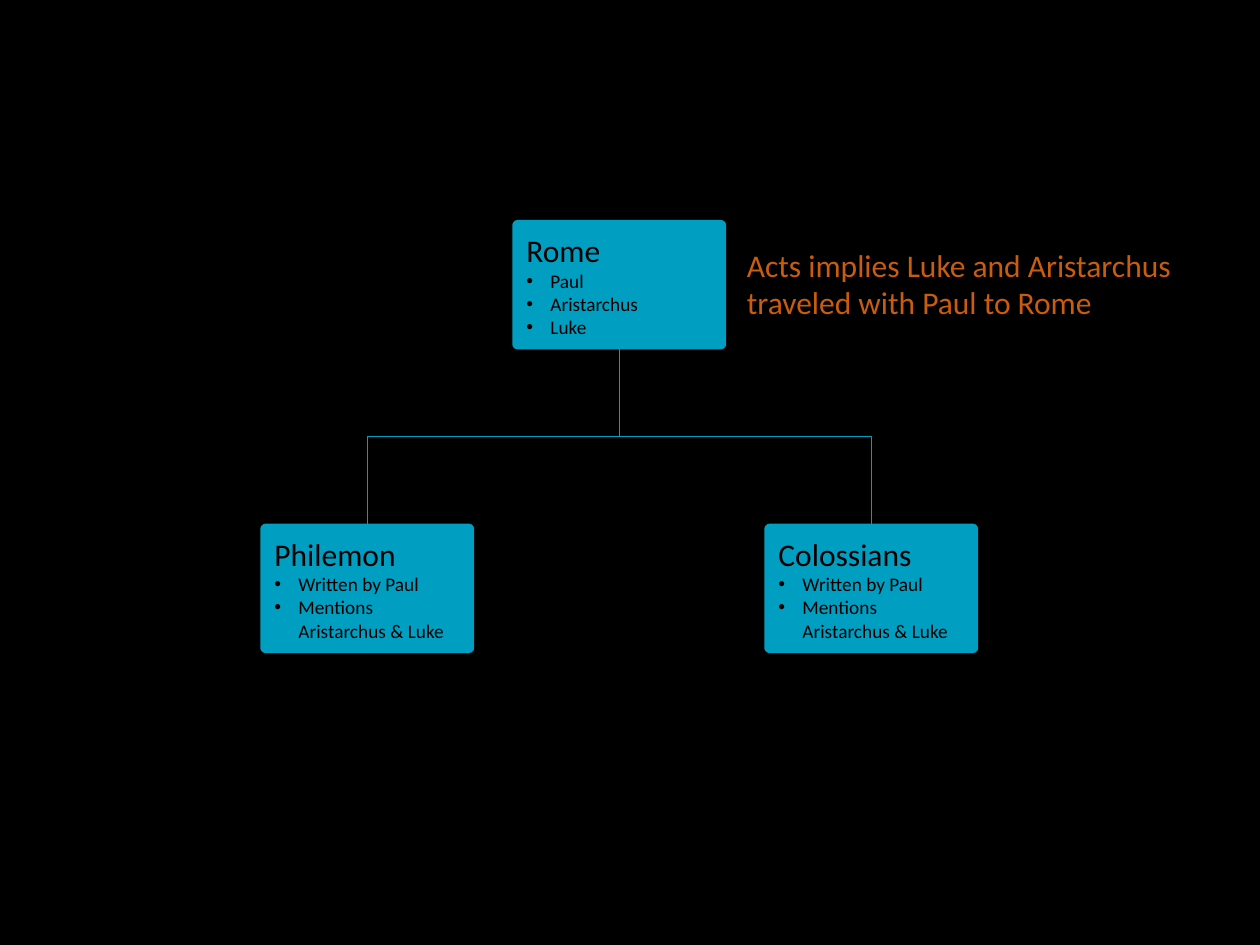
from lxml.etree import SubElement
from pptx import Presentation
from pptx.dml.color import RGBColor
from pptx.enum.shapes import MSO_CONNECTOR, MSO_SHAPE
from pptx.enum.text import MSO_ANCHOR, PP_ALIGN
from pptx.oxml.ns import qn
from pptx.util import Inches, Pt

BLACK = RGBColor(0x00, 0x00, 0x00)
BLUE = RGBColor(0x00, 0x9E, 0xC0)
ORANGE = RGBColor(0xCA, 0x5C, 0x0E)

CARD_WIDTH, CARD_HEIGHT = 1.67, 1
TOP_ROW, BOTTOM_ROW = 1.76, 4.17
CENTER_LEFT, BRANCH_OFFSET = 4.08, 2
BULLET_INDENT = Inches(0.19)

ROME = ("Rome", ["Paul", "Aristarchus", "Luke"])
LETTER_NOTES = ["Written by Paul", "Mentions Aristarchus & Luke"]
# title, side of the centre, rotation of its connector in degrees
LETTERS = [("Philemon", -1, 90), ("Colossians", 1, 270)]
REMARK = "Acts implies Luke and Aristarchus traveled with Paul to Rome"


def write(paragraph, text, size, color):
    paragraph.text = text
    paragraph.alignment = PP_ALIGN.LEFT
    font_format = {"name": "Calibri", "size": Pt(size)}
    for name, value in font_format.items():
        setattr(paragraph.runs[0].font, name, value)
    paragraph.runs[0].font.color.rgb = color


def add_bullet(paragraph):
    properties = paragraph._p.get_or_add_pPr()
    properties.set("marL", str(BULLET_INDENT))
    properties.set("indent", str(-BULLET_INDENT))
    SubElement(properties, qn("a:buFont")).set("typeface", "Arial")
    SubElement(properties, qn("a:buChar")).set("char", "•")


def add_card(slide, left, top, title, notes):
    card = slide.shapes.add_shape(
        MSO_SHAPE.ROUNDED_RECTANGLE, Inches(left), Inches(top),
        Inches(CARD_WIDTH), Inches(CARD_HEIGHT))
    card.adjustments[0] = 0.03
    card.shadow.inherit = False
    card.fill.solid()
    card.fill.fore_color.rgb = BLUE
    card.line.color.rgb = BLUE
    card.line.width = Pt(2)

    frame = card.text_frame
    frame_format = {
        "word_wrap": True, "vertical_anchor": MSO_ANCHOR.MIDDLE,
        "margin_left": Inches(0.09), "margin_right": Inches(0.09),
    }
    for name, value in frame_format.items():
        setattr(frame, name, value)
    write(frame.paragraphs[0], title, 18, BLACK)
    for note in notes:
        paragraph = frame.add_paragraph()
        add_bullet(paragraph)
        write(paragraph, note, 11, BLACK)
    return card


def add_branch(slide, parent, child, rotation):
    """Join parent's bottom to child's top, leaving the parent vertically."""
    branch = slide.shapes.add_connector(MSO_CONNECTOR.ELBOW, 0, 0, 0, 0)
    branch.begin_connect(parent, 2)
    branch.end_connect(child, 0)

    # An elbow starts horizontally, so turn its box a quarter about its centre.
    width, height = branch.width, branch.height
    shift = (width - height) // 2
    branch.left, branch.top = branch.left + shift, branch.top - shift
    branch.width, branch.height = height, width
    transform = branch._element.spPr.xfrm
    transform.flipH = not transform.flipH
    transform.set("rot", str(rotation * 60000))

    branch.line.color.rgb = BLUE
    branch.line.width = Pt(0.75)
    SubElement(branch._element.spPr, qn("a:effectLst"))


def main():
    presentation = Presentation()
    presentation.slide_width = Inches(10)
    presentation.slide_height = Inches(7.5)
    slide = presentation.slides.add_slide(presentation.slide_layouts[6])
    slide.background.fill.solid()
    slide.background.fill.fore_color.rgb = BLACK

    rome = add_card(slide, CENTER_LEFT, TOP_ROW, *ROME)
    for title, side, rotation in LETTERS:
        left = CENTER_LEFT + side * BRANCH_OFFSET
        letter = add_card(slide, left, BOTTOM_ROW, title, LETTER_NOTES)
        add_branch(slide, rome, letter, rotation)

    remark = slide.shapes.add_textbox(
        Inches(5.83), Inches(1.9), Inches(3.67), Inches(0.71))
    remark.text_frame.word_wrap = True
    write(remark.text_frame.paragraphs[0], REMARK, 18, ORANGE)

    presentation.save("out.pptx")


if __name__ == "__main__":
    main()
